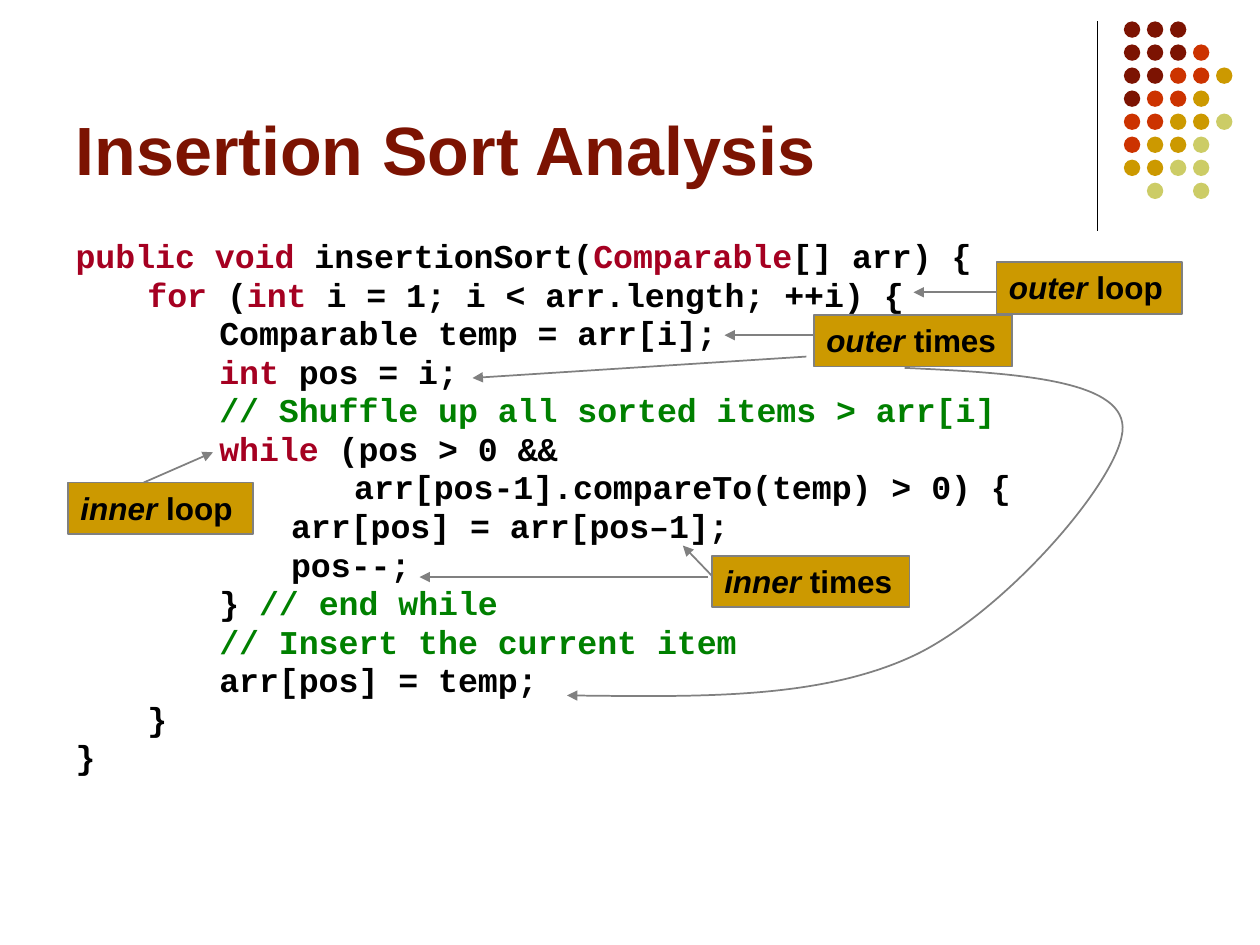
from pptx import Presentation
from pptx.dml.color import RGBColor
from pptx.enum.shapes import MSO_CONNECTOR, MSO_SHAPE
from pptx.enum.text import MSO_ANCHOR, MSO_AUTO_SIZE, PP_ALIGN
from pptx.oxml.ns import qn
from pptx.util import Inches, Pt
from lxml.etree import SubElement

COLORS = {
    "maroon": "7C1302", "red": "CC3300", "gold": "CC9900", "olive": "CCCC66",
    "keyword": "A50021", "comment": "008000", "plain": "000000", "gray": "808080",
}


def rgb(name):
    return RGBColor.from_string(COLORS[name])


def style_line(line_shape, color, width, arrow):
    line_shape.line.color.rgb = rgb(color)
    line_shape.line.width = Pt(width)
    if arrow:
        SubElement(line_shape.line._get_or_add_ln(), qn("a:tailEnd"), type="triangle")


prs = Presentation()
prs.slide_width, prs.slide_height = Inches(10), Inches(7.5)
slide = prs.slides.add_slide(prs.slide_layouts[1])
shapes = slide.shapes

DOT_ROWS = ["MMM", "MMMR", "MMRRG", "MRRG", "RRGGO", "RGGO", "GGOO", " O O"]
DOT_COLORS = {"M": "maroon", "R": "red", "G": "gold", "O": "olive"}
DOT_PITCH = 1.28 / 7
for row, letters in enumerate(DOT_ROWS):
    for column, letter in enumerate(letters):
        if letter == " ":
            continue
        dot = shapes.add_shape(
            MSO_SHAPE.OVAL, Inches(8.92 + column * DOT_PITCH),
            Inches(0.17 + row * DOT_PITCH), Inches(0.13), Inches(0.13))
        dot.shadow.inherit = False
        dot.fill.solid()
        dot.fill.fore_color.rgb = rgb(DOT_COLORS[letter])
        dot.line.fill.background()

title = shapes.title
title.left, title.top, title.width, title.height = map(Inches, (0.5, 0.13, 8.25, 1.42))
title.text_frame.text = "Insertion Sort Analysis"
title.text_frame.auto_size = MSO_AUTO_SIZE.NONE
title.text_frame.vertical_anchor = MSO_ANCHOR.BOTTOM
heading = title.text_frame.paragraphs[0]
heading.alignment = PP_ALIGN.LEFT
heading.font.name = "Arial"
heading.font.size = Pt(39)
heading.font.bold = True
heading.font.color.rgb = rgb("maroon")

CODE = [
    [("public void", "keyword"), (" insertionSort(", "plain"),
     ("Comparable", "keyword"), ("[] arr) {", "plain")],
    [("\t", "plain"), ("for ", "keyword"), ("(", "plain"), ("int", "keyword"),
     (" i = 1; i < arr.length; ++i) {", "plain")],
    [("\t\tComparable temp = arr[i];", "plain")],
    [("\t\t", "plain"), ("int", "keyword"), (" pos = i;", "plain")],
    [("\t\t// Shuffle up all sorted items > arr[i]", "comment")],
    [("\t\t", "plain"), ("while ", "keyword"), ("(pos > 0 &&", "plain")],
    [("              arr[pos-1].compareTo(temp) > 0) {", "plain")],
    [("\t\t\tarr[pos] = arr[pos–1];", "plain")],
    [("\t\t\tpos--;", "plain")],
    [("\t\t} ", "plain"), ("// end while", "comment")],
    [("\t\t// Insert the current item", "comment")],
    [("\t\tarr[pos] = temp;", "plain")],
    [("\t}", "plain")],
    [("}", "plain")],
]
code = slide.placeholders[1]
code.left, code.top, code.width, code.height = map(Inches, (0.5, 1.88, 8.99, 4.78))
code.text_frame.auto_size = MSO_AUTO_SIZE.NONE
for number, pieces in enumerate(CODE):
    code_line = code.text_frame.add_paragraph() if number else code.text_frame.paragraphs[0]
    properties = code_line._p.get_or_add_pPr()
    properties.set("marL", "0")
    properties.set("indent", "0")
    properties.set("defTabSz", str(Inches(0.57)))
    SubElement(properties, qn("a:buNone"))
    code_line.line_spacing = 0.8
    code_line.space_before = Pt(3.8 if number else 0)
    code_line.font.name = "Courier New"
    code_line.font.size = Pt(19)
    code_line.font.bold = True
    for text, color in pieces:
        run = code_line.add_run()
        run.text = text
        run.font.color.rgb = rgb(color)

LABELS = [
    ("outer", " loop", 7.91, 2.08, 1.47),
    ("outer", " times", 6.46, 2.5, 1.57),
    ("inner", " loop", 0.54, 3.83, 1.47),
    ("inner", " times", 5.65, 4.41, 1.57),
]
for loop_name, role, left, top, width in LABELS:
    label = shapes.add_shape(
        MSO_SHAPE.RECTANGLE, Inches(left), Inches(top), Inches(width), Inches(0.41))
    label.shadow.inherit = False
    label.fill.solid()
    label.fill.fore_color.rgb = rgb("gold")
    style_line(label, "gray", 1, False)
    label.text_frame.vertical_anchor = MSO_ANCHOR.TOP
    caption = label.text_frame.paragraphs[0]
    caption.alignment = PP_ALIGN.LEFT
    caption.font.name = "Arial"
    caption.font.size = Pt(18)
    caption.font.bold = True
    caption.font.color.rgb = rgb("plain")
    for text, italic in ((loop_name, True), (role, False)):
        run = caption.add_run()
        run.text = text
        run.font.italic = italic

LINES = [
    (8.71, 0.17, 8.71, 1.83, "plain", 0.75, False),
    (7.91, 2.32, 7.25, 2.32, "gray", 1, True),
    (6.46, 2.66, 5.75, 2.66, "gray", 1, True),
    (6.4, 2.83, 3.75, 3, "gray", 1, True),
    (1.14, 3.83, 1.69, 3.59, "gray", 1, True),
    (5.65, 4.57, 5.42, 4.33, "gray", 1, True),
    (5.62, 4.58, 3.33, 4.58, "gray", 1, True),
]
for x1, y1, x2, y2, color, width, arrow in LINES:
    pointer = shapes.add_connector(
        MSO_CONNECTOR.STRAIGHT, Inches(x1), Inches(y1), Inches(x2), Inches(y2))
    style_line(pointer, color, width, arrow)
    SubElement(pointer._element.spPr, qn("a:effectLst"))

CURVE = [
    (7.18, 2.92),
    (8.04, 2.96), (8.9, 3.01), (8.91, 3.39),
    (8.92, 3.77), (7.99, 4.85), (7.26, 5.2),
    (6.52, 5.55), (5.51, 5.53), (4.5, 5.52),
]
points = [(Inches(x), Inches(y)) for x, y in CURVE]
builder = shapes.build_freeform(*points[0])
builder.add_line_segments(points[1:], close=False)
insert_arrow = builder.convert_to_shape()
insert_arrow.shadow.inherit = False
insert_arrow.fill.background()
style_line(insert_arrow, "gray", 1, True)
segments = list(insert_arrow._element.iter(qn("a:lnTo")))
outline = segments[0].getparent()
for start in range(0, len(segments), 3):
    bezier = SubElement(outline, qn("a:cubicBezTo"))
    for segment in segments[start:start + 3]:
        bezier.append(segment[0])
        outline.remove(segment)

prs.save("out.pptx")
